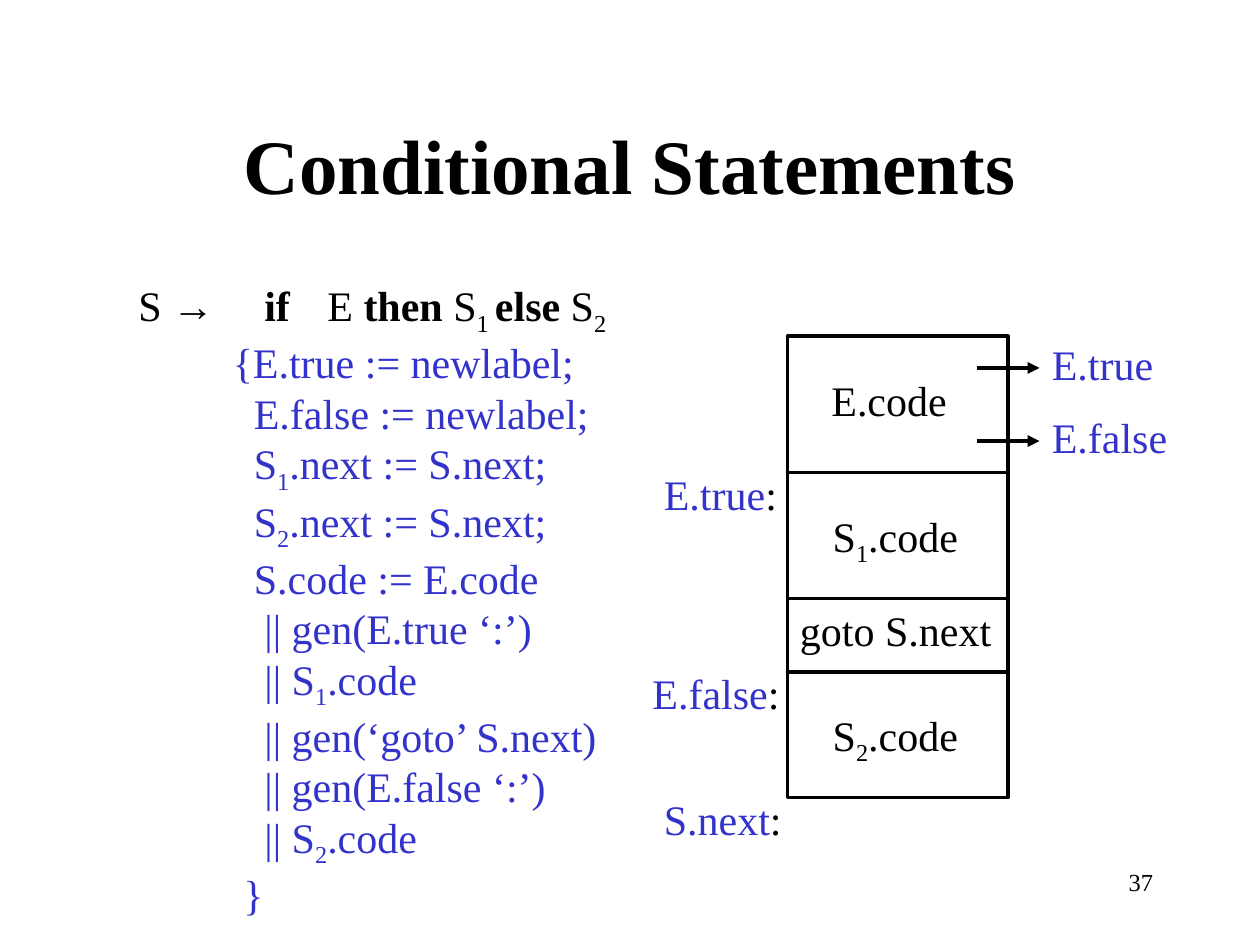
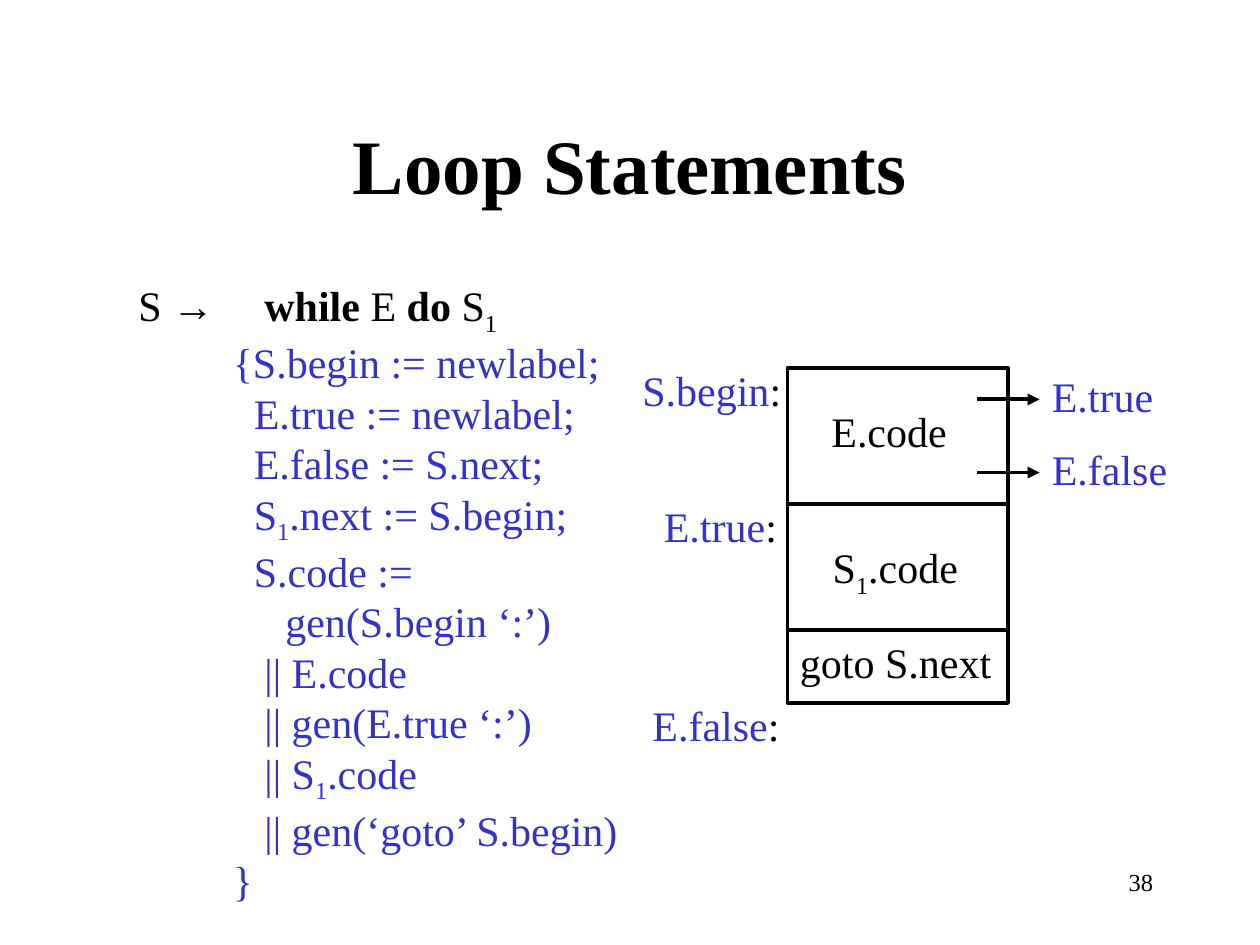
from lxml import etree
from pptx import Presentation
from pptx.dml.color import RGBColor
from pptx.enum.shapes import MSO_CONNECTOR, MSO_SHAPE
from pptx.enum.text import MSO_ANCHOR, PP_ALIGN
from pptx.oxml.ns import qn
from pptx.util import Inches, Pt

STRAIGHT = MSO_CONNECTOR.STRAIGHT
RECTANGLE = MSO_SHAPE.RECTANGLE
TOP, MIDDLE = MSO_ANCHOR.TOP, MSO_ANCHOR.MIDDLE
LEFT, CENTER, RIGHT = PP_ALIGN.LEFT, PP_ALIGN.CENTER, PP_ALIGN.RIGHT

COLORS = {"ink": "000000", "accent": "3333CC"}
TEXT_FONT, SYMBOL_FONT = "Times New Roman", "Arial"
BOLD, SUBSCRIPT, ACCENT, SYMBOL = "*~@^"
MARKS = BOLD + SUBSCRIPT + ACCENT + SYMBOL

FORMATS = {
    "title": {"size": Pt(44), "bold": True},
    "body": {"size": Pt(24)},
    "number": {"size": Pt(14)},
}
INDENT_UNIT = 1 / 12
RULE_TABS = (0.77, 1.14)
LINE_WIDTH = Pt(2.25)

DIAGRAM_LEFT, DIAGRAM_WIDTH = 6.25, 1.75
TEXT_HEIGHT = 0.5
EXIT_LABELS = (("@E.true", 0.25), ("@E.false", 0.83))

E_CODE = ("E.code", 1.08, 0.25, 0.25)
S1_CODE = ("S~1~.code", 1.0, 0.26, 0.25)
S2_CODE = ("S~2~.code", 1.0, 0.26, 0.25)
GOTO_NEXT = ("goto S.next", 0.58, 0, 0)

E_TRUE = ("@E.true@:", 5.17)
E_FALSE = ("@E.false@:", 5.08)
S_NEXT = ("@S.next@:", 5.17)
S_BEGIN = ("@S.begin@:", 5.0)

SLIDES = [
    {
        "title": "Conditional Statements",
        "number": "37",
        "rule": "S ^→\t^*if*\tE *then* S~1 ~*else* S~2~",
        "actions": [
            (9, "{E.true := newlabel;"),
            (11, "E.false := newlabel;"),
            (11, "S~1~.next := S.next;"),
            (11, "S~2~.next := S.next;"),
            (11, "S.code := E.code"),
            (12, "|| gen(E.true ‘:’)"),
            (12, "|| S~1~.code"),
            (12, "|| gen(‘goto’ S.next)"),
            (12, "|| gen(E.false ‘:’)"),
            (12, "|| S~2~.code"),
            (10, "}"),
        ],
        "top": 2.67,
        "rows": [E_CODE, S1_CODE, GOTO_NEXT, S2_CODE],
        "labels": [None, E_TRUE, None, E_FALSE, S_NEXT],
    },
    {
        "title": "Loop Statements",
        "number": "38",
        "rule": "S ^→\t^*while* E *do* S~1~",
        "actions": [
            (9, "{S.begin := newlabel;"),
            (11, "E.true := newlabel;"),
            (11, "E.false := S.next;"),
            (11, "S~1~.next := S.begin;"),
            (11, "S.code :="),
            (14, "gen(S.begin ‘:’)"),
            (12, "|| E.code"),
            (12, "|| gen(E.true ‘:’)"),
            (12, "|| S~1~.code"),
            (12, "|| gen(‘goto’ S.begin)"),
            (9, "}"),
        ],
        "top": 2.92,
        "rows": [E_CODE, S1_CODE, GOTO_NEXT],
        "labels": [S_BEGIN, E_TRUE, None, E_FALSE],
    },
]


def split_marks(markup):
    active, piece = set(), ""
    for letter in markup:
        if letter in MARKS:
            if piece:
                yield piece, frozenset(active)
            piece = ""
            active ^= {letter}
        else:
            piece += letter
    if piece:
        yield piece, frozenset(active)


class SlideBuilder:
    def __init__(self):
        self.deck = Presentation()
        self.deck.slide_width = Inches(10)
        self.deck.slide_height = Inches(7.5)
        self.page = None

    def color(self, name):
        return RGBColor.from_string(COLORS[name])

    def new_page(self):
        self.page = self.deck.slides.add_slide(self.deck.slide_layouts[6])

    def text(self, lines, left, top, width, height=TEXT_HEIGHT,
             style="body", align=LEFT, anchor=TOP, tabs=()):
        box = self.page.shapes.add_textbox(
            Inches(left), Inches(top), Inches(width), Inches(height))
        frame = box.text_frame
        frame.word_wrap = True
        frame.vertical_anchor = anchor
        for index, (indent, markup) in enumerate(lines):
            para = frame.add_paragraph() if index else frame.paragraphs[0]
            para.alignment = align
            self.indent(para, indent, () if index else tabs)
            self.spans(para, markup, FORMATS[style])

    def indent(self, para, units, tabs):
        properties = para._p.get_or_add_pPr()
        properties.set("marL", str(Inches(units * INDENT_UNIT)))
        properties.set("indent", "0")
        if tabs:
            stops = etree.SubElement(properties, qn("a:tabLst"))
            for position in tabs:
                etree.SubElement(stops, qn("a:tab"),
                                 pos=str(Inches(position)), algn="l")

    def spans(self, para, markup, style):
        for piece, marks in split_marks(markup):
            span = para.add_run()
            span.text = piece
            values = {"name": SYMBOL_FONT if SYMBOL in marks else TEXT_FONT,
                      "bold": BOLD in marks, **style}
            for attribute, value in values.items():
                setattr(span.font, attribute, value)
            span.font.color.rgb = self.color("accent" if ACCENT in marks else "ink")
            if SUBSCRIPT in marks:
                span._r.get_or_add_rPr().set("baseline", "-25000")

    def outline(self, left, top, width, height):
        box = self.page.shapes.add_shape(
            RECTANGLE, Inches(left), Inches(top), Inches(width), Inches(height))
        box.shadow.inherit = False
        box.fill.background()
        box.line.color.rgb = self.color("ink")
        box.line.width = LINE_WIDTH

    def horizontal(self, left, right, y, arrow=False):
        line = self.page.shapes.add_connector(
            STRAIGHT, Inches(left), Inches(y), Inches(right), Inches(y))
        line.line.color.rgb = self.color("ink")
        line.line.width = LINE_WIDTH
        if arrow:
            etree.SubElement(line.line._get_or_add_ln(), qn("a:tailEnd"), type="triangle")
        etree.SubElement(line._element.spPr, qn("a:effectLst"))

    def diagram(self, top, rows, labels):
        right = DIAGRAM_LEFT + DIAGRAM_WIDTH
        self.outline(DIAGRAM_LEFT, top, DIAGRAM_WIDTH, sum(row[1] for row in rows))
        edges = [top]
        for markup, height, shift_x, shift_y in rows:
            edge = edges[-1]
            if edge > top:
                self.horizontal(DIAGRAM_LEFT, right, edge)
            self.text([(0, markup)], DIAGRAM_LEFT + shift_x, edge + shift_y, DIAGRAM_WIDTH)
            edges.append(edge + height)
        for edge, label in zip(edges, labels):
            if label:
                markup, left = label
                self.text([(0, markup)], left, edge - 0.08, 1.35)
        for markup, offset in EXIT_LABELS:
            self.horizontal(right - 0.25, right + 0.25, top + offset, arrow=True)
            self.text([(0, markup)], right + 0.25, top + offset - 0.28, 1.2)

    def statement_slide(self, content):
        self.new_page()
        self.text([(0, content["title"])], 0.75, 0.67, 8.5, 1.25,
                  style="title", align=CENTER, anchor=MIDDLE)
        actions = [(units, ACCENT + markup) for units, markup in content["actions"]]
        self.text([(0, content["rule"])] + actions, 1, 2.17, 4.1, 5.1, tabs=RULE_TABS)
        self.diagram(content["top"], content["rows"], content["labels"])
        self.text([(0, content["number"])], 7.17, 6.83, 2.08,
                  style="number", align=RIGHT)


def main():
    builder = SlideBuilder()
    for content in SLIDES:
        builder.statement_slide(content)
    builder.deck.save("out.pptx")


if __name__ == "__main__":
    main()
